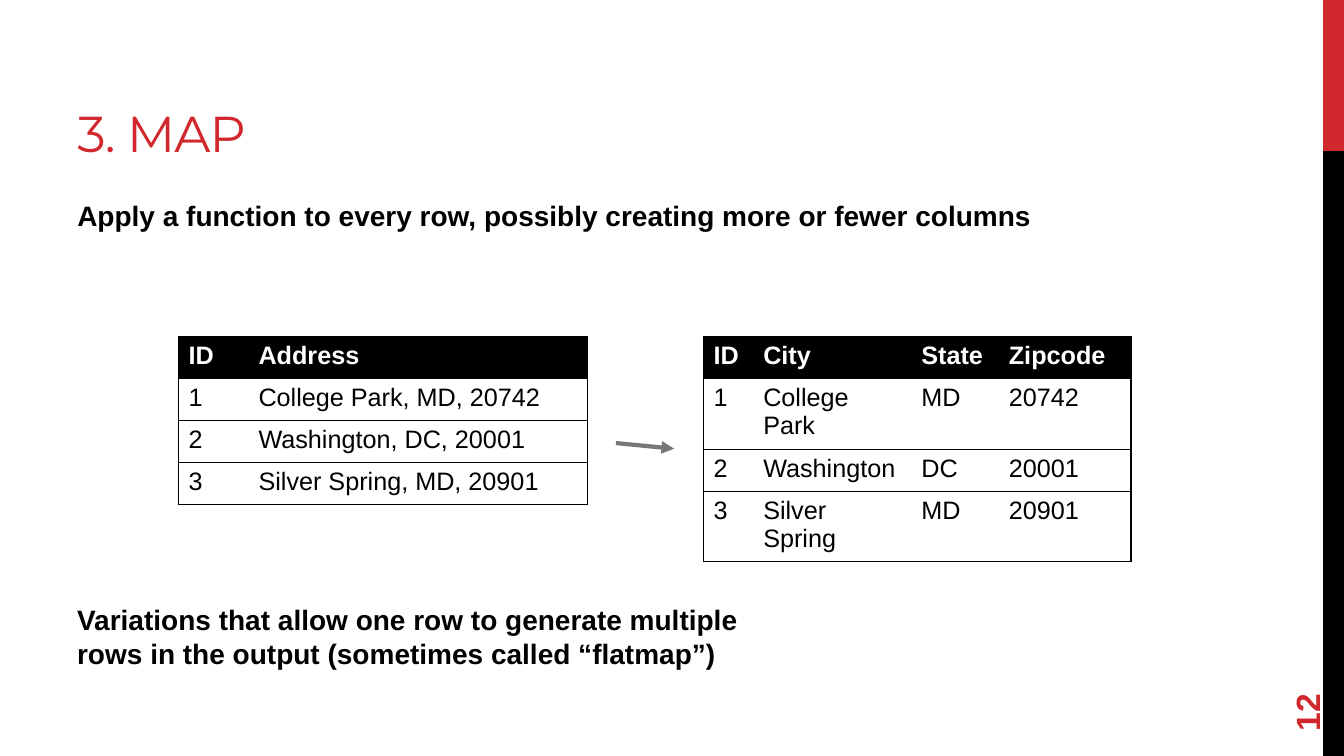
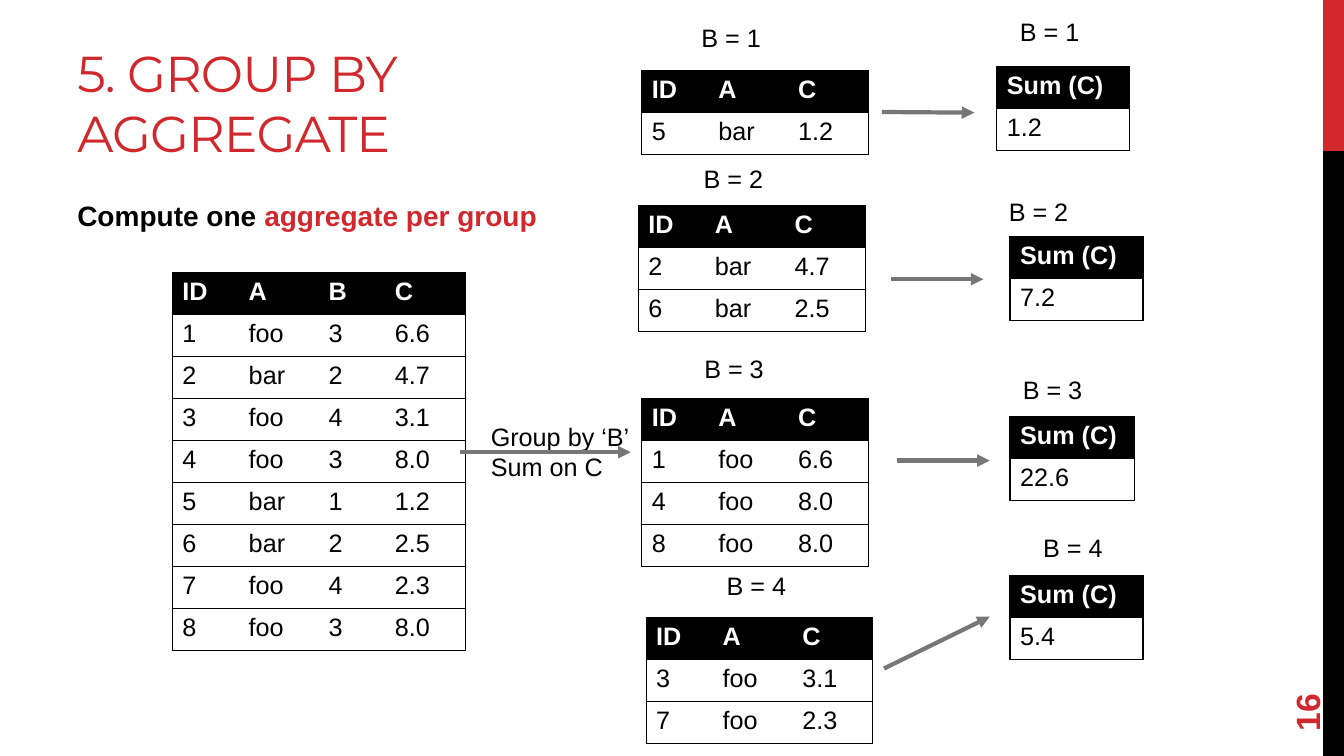
from dataclasses import dataclass

from pptx import Presentation
from pptx.dml.color import RGBColor
from pptx.enum.shapes import MSO_CONNECTOR, MSO_SHAPE
from pptx.enum.text import MSO_ANCHOR, MSO_AUTO_SIZE, PP_ALIGN
from pptx.oxml import parse_xml
from pptx.oxml.ns import nsdecls, qn
from pptx.util import Pt


@dataclass(frozen=True)
class Theme:
    red: RGBColor = RGBColor(0xD1, 0x28, 0x2E)
    black: RGBColor = RGBColor(0, 0, 0)
    white: RGBColor = RGBColor(255, 255, 255)
    gray: RGBColor = RGBColor(0x77, 0x77, 0x77)
    title_font: str = "Montserrat"
    text_font: str = "Arial"
    title_size: int = 36
    number_size: int = 24
    body_size: int = 20
    small_size: int = 18
    row_height: int = 30


@dataclass(frozen=True)
class Group:
    """Places of one group: its table and label, its sum and label, its arrow."""
    key: str
    label: tuple
    table: tuple
    sum_label: tuple
    sum_table: tuple
    sum_width: float
    arrow: tuple


THEME = Theme()
SLIDE_WIDTH, SLIDE_HEIGHT = 960, 540
MARGIN = 48

COLUMN_WIDTHS = {"ID": 47.5, "A": 57, "B": 47.5, "C": 57.5}
RECORDS = [
    ("1", "foo", "3", "6.6"),
    ("2", "bar", "2", "4.7"),
    ("3", "foo", "4", "3.1"),
    ("4", "foo", "3", "8.0"),
    ("5", "bar", "1", "1.2"),
    ("6", "bar", "2", "2.5"),
    ("7", "foo", "4", "2.3"),
    ("8", "foo", "3", "8.0"),
]
GROUPS = [
    Group("1", (494, 12.5), (458.5, 50.5), (721.5, 8), (712, 47.5), 95,
          ((630, 80), (696, 80.5))),
    Group("2", (495.5, 113), (456, 147), (713.5, 137), (721.5, 169), 95,
          ((636.5, 199.5), (702.5, 199.5))),
    Group("3", (496, 248.5), (458.5, 284.5), (723.5, 263.5), (721.5, 297.5), 89,
          ((641, 329), (707, 329))),
    Group("4", (512, 404), (461.5, 441), (738, 376.5), (721.5, 411), 95,
          ((631.5, 477.5), (707, 440.5))),
]


def place(shape, left, top, width, height):
    shape.left, shape.top = Pt(left), Pt(top)
    shape.width, shape.height = Pt(width), Pt(height)


def style(para, size, color=THEME.black, bold=False, font=THEME.text_font):
    para.font.name = font
    para.font.size = Pt(size)
    para.font.bold = bold
    para.font.color.rgb = color


def add_bands(layout, page):
    """Draw the side bands on a page and move them to its layout."""
    split = 108
    for number, (color, top, height) in enumerate([
            (THEME.red, 0, split), (THEME.black, split, SLIDE_HEIGHT - split)]):
        band = page.shapes.add_shape(
            MSO_SHAPE.RECTANGLE, Pt(945), Pt(top), Pt(15), Pt(height))
        band.shadow.inherit = False
        band.fill.solid()
        band.fill.fore_color.rgb = color
        band.line.fill.background()
        band.element.nvSpPr.cNvPr.set("id", str(20 + number))
        layout.shapes.element.insert(2 + number, band.element)


def add_page(deck, title, title_width, number):
    page = deck.slides.add_slide(deck.slide_layouts[1])
    heading = page.shapes.title
    place(heading, MARGIN, 12, title_width, 108)
    frame = heading.text_frame
    frame.text = title
    frame.auto_size = MSO_AUTO_SIZE.NONE
    frame.vertical_anchor = MSO_ANCHOR.BOTTOM
    para = frame.paragraphs[0]
    para.alignment = PP_ALIGN.LEFT
    style(para, THEME.title_size, THEME.red, font=THEME.title_font)
    para.font._rPr.set("spc", "-60")

    box = add_text(page, [str(number)], (881.5, 458.5, 103.5, 38),
                   THEME.number_size, THEME.red, bold=True)
    box.rotation = 270
    box.text_frame.vertical_anchor = MSO_ANCHOR.MIDDLE
    return page


def fill_body(page, spans):
    """Write one unbulleted paragraph from (text, color) spans."""
    body = page.placeholders[1]
    place(body, MARGIN, 138, 800, 344)
    body.text_frame.auto_size = MSO_AUTO_SIZE.NONE
    para = body.text_frame.paragraphs[0]
    properties = para._p.get_or_add_pPr()
    properties.set("marL", "0")
    properties.set("indent", "0")
    properties.append(parse_xml(f"<a:buNone {nsdecls('a')}/>"))
    para.space_before, para.space_after = Pt(0), Pt(6)
    style(para, THEME.body_size, bold=True)
    for text, color in spans:
        span = para.add_run()
        span.text = text
        span.font.color.rgb = color


def add_text(page, lines, area, size, color=THEME.black, bold=False, wrap=True):
    box = page.shapes.add_textbox(*map(Pt, area))
    frame = box.text_frame
    frame.word_wrap = wrap
    frame.text = "\n".join(lines)
    for para in frame.paragraphs:
        style(para, size, color, bold)
    return box


def add_label(page, text, position):
    add_text(page, [text], (*position, 57.5, 29), THEME.small_size, wrap=False)


def set_borders(cell, first, last):
    """Rule a cell above and below, and at the outer sides of the table."""
    drawn = {"lnL": first, "lnR": last, "lnT": True, "lnB": True}
    for index, (tag, visible) in enumerate(drawn.items()):
        paint = (f'<a:solidFill><a:srgbClr val="{THEME.black}"/></a:solidFill>'
                 if visible else "<a:noFill/>")
        cell._tc.get_or_add_tcPr().insert(index, parse_xml(
            f'<a:{tag} {nsdecls("a")} w="{Pt(1)}">{paint}</a:{tag}>'))


def add_data_table(page, rows, position, widths, heights=None):
    heights = heights or [THEME.row_height] * len(rows)
    frame = page.shapes.add_table(
        len(rows), len(widths), *map(Pt, (*position, sum(widths), sum(heights))))
    table = frame.table
    table.horz_banding = False
    for column, width in zip(table.columns, widths):
        column.width = Pt(width)
    for row_index, (row, height) in enumerate(zip(rows, heights)):
        table.rows[row_index].height = Pt(height)
        header = row_index == 0
        for column_index, text in enumerate(row):
            cell = table.cell(row_index, column_index)
            cell.text = text
            cell.fill.solid()
            cell.fill.fore_color.rgb = THEME.black if header else THEME.white
            style(cell.text_frame.paragraphs[0], THEME.small_size,
                  THEME.white if header else THEME.black, header)
            set_borders(cell, column_index == 0, column_index == len(row) - 1)


def add_arrow(page, start, end):
    arrow = page.shapes.add_connector(
        MSO_CONNECTOR.STRAIGHT, *map(Pt, (*start, *end)))
    arrow.line.color.rgb = THEME.gray
    arrow.line.width = Pt(3)
    properties = arrow.element.spPr
    properties.find(qn("a:ln")).append(
        parse_xml(f'<a:tailEnd {nsdecls("a")} type="triangle"/>'))
    properties.append(parse_xml(f"<a:effectLst {nsdecls('a')}/>"))


def build_map(deck):
    page = add_page(deck, "3. MAP", 608, 12)
    fill_body(page, [("Apply a function to every row, possibly creating more "
                      "or fewer columns", THEME.black)])
    add_data_table(page, [
        ("ID", "Address"),
        ("1", "College Park, MD, 20742"),
        ("2", "Washington, DC, 20001"),
        ("3", "Silver Spring, MD, 20901"),
    ], (127.5, 240.5), (50, 242))
    add_data_table(page, [
        ("ID", "City", "State", "Zipcode"),
        ("1", "College Park", "MD", "20742"),
        ("2", "Washington", "DC", "20001"),
        ("3", "Silver Spring", "MD", "20901"),
    ], (502.5, 240.5), (35.5, 113, 62.5, 94.5), (30, 50, 30, 50))
    add_arrow(page, (440, 316.5), (481.5, 320.5))
    add_text(page, ["Variations that allow one row to generate multiple rows "
                    "in the output (sometimes called “flatmap”)"],
             (MARGIN, 427, 504, 55.5), THEME.body_size, bold=True)
    return page


def build_group_by(deck):
    page = add_page(deck, "5. GROUP BY AGGREGATE", 432, 16)
    fill_body(page, [("Compute one ", THEME.black),
                     ("aggregate per group", THEME.red)])
    add_data_table(page, [tuple(COLUMN_WIDTHS), *RECORDS], (123, 194.5),
                   tuple(COLUMN_WIDTHS.values()))
    add_text(page, ["Group by ‘B’", "Sum on C"], (343.5, 297.5, 141, 51),
             THEME.small_size)
    add_arrow(page, (328.5, 323), (450.5, 323))

    names = ("ID", "A", "C")
    for group in GROUPS:
        members = [(key, a, c) for key, a, b, c in RECORDS if b == group.key]
        total = sum(float(c) for _, _, c in members)
        caption = f"B = {group.key}"
        add_label(page, caption, group.label)
        add_data_table(page, [names, *members], group.table,
                       [COLUMN_WIDTHS[name] for name in names])
        add_label(page, caption, group.sum_label)
        add_data_table(page, [("Sum (C)",), (f"{total:.1f}",)],
                       group.sum_table, (group.sum_width,))
        add_arrow(page, *group.arrow)


def main():
    deck = Presentation()
    deck.slide_width, deck.slide_height = Pt(SLIDE_WIDTH), Pt(SLIDE_HEIGHT)
    map_page = build_map(deck)
    add_bands(map_page.slide_layout, map_page)
    build_group_by(deck)
    deck.save("out.pptx")


if __name__ == "__main__":
    main()
